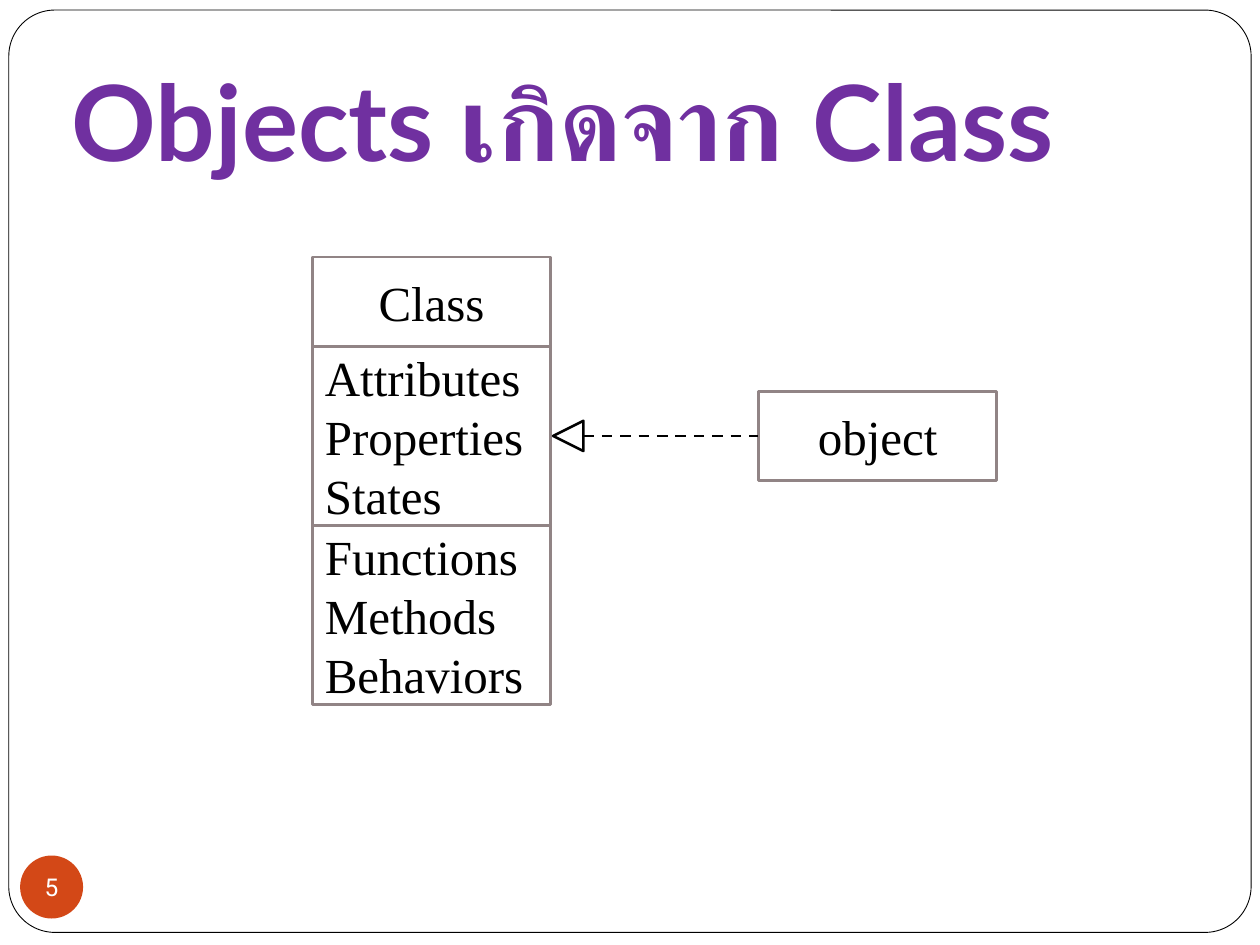
from lxml.etree import SubElement
from pptx import Presentation
from pptx.dml.color import RGBColor as Color
from pptx.enum.dml import MSO_LINE as Dash
from pptx.enum.shapes import MSO_CONNECTOR as Connector, MSO_SHAPE as Shape
from pptx.enum.text import MSO_ANCHOR as Anchor, MSO_AUTO_SIZE as AutoSize, PP_ALIGN as Align
from pptx.oxml.ns import qn
from pptx.util import Inches, Pt

COLORS = {
    "paper": "FFFFFF",
    "ink": "000000",
    "title": "7030A0",
    "badge": "D34817",
    "border": "918485",
}


def write(frame, text, font="Times New Roman", size=28, color="ink", bold=False,
          align=Align.LEFT, anchor=Anchor.MIDDLE, margins=(0.1, 0.05, 0.1, 0.05), wrap=True):
    frame.auto_size = AutoSize.NONE
    frame.word_wrap = wrap
    frame.vertical_anchor = anchor
    (frame.margin_left, frame.margin_top,
     frame.margin_right, frame.margin_bottom) = map(Inches, margins)
    for index, line in enumerate(text.split("\n")):
        para = frame.add_paragraph() if index else frame.paragraphs[0]
        para.alignment = align
        span = para.add_run()
        span.text = line
        span.font.name = font
        span.font.size = Pt(size)
        span.font.bold = bold
        span.font.color.rgb = Color.from_string(COLORS[color])


class Diagram:
    def __init__(self, page):
        self.page = page

    def title(self, text, left, top, width, height, **style):
        box = self.page.shapes.title
        box.left, box.top, box.width, box.height = map(Inches, (left, top, width, height))
        write(box.text_frame, text, **style)
        return box

    def shape(self, kind, left, top, width, height, fill="paper", line="border", weight=1.5):
        box = self.page.shapes.add_shape(kind, *map(Inches, (left, top, width, height)))
        box.shadow.inherit = False
        box.fill.solid()
        box.fill.fore_color.rgb = Color.from_string(COLORS[fill])
        if line:
            box.line.color.rgb = Color.from_string(COLORS[line])
            box.line.width = Pt(weight)
        else:
            box.line.fill.background()
        return box

    def box(self, text, left, top, width, height, **style):
        box = self.shape(Shape.RECTANGLE, left, top, width, height)
        write(box.text_frame, text, **style)

    def badge(self, text, left, top, size):
        box = self.shape(Shape.OVAL, left, top, size, size, fill="badge", line=None)
        write(box.text_frame, text, font="Roboto", size=14, color="paper",
              align=Align.CENTER, margins=(0, 0, 0, 0), wrap=False)

    def dashed_line(self, x1, y1, x2, y2):
        link = self.page.shapes.add_connector(
            Connector.STRAIGHT, *map(Inches, (x1, y1, x2, y2)))
        link.line.color.rgb = Color.from_string(COLORS["ink"])
        link.line.width = Pt(1.5)
        link.line.dash_style = Dash.DASH
        SubElement(link.element.spPr, qn("a:effectLst"))


def main():
    deck = Presentation()
    deck.slide_width, deck.slide_height = Inches(10), Inches(7.5)
    diagram = Diagram(deck.slides.add_slide(deck.slide_layouts[5]))

    title = diagram.title("Objects เกิดจาก Class", 0.47, 0.3, 9.03, 1.25, font="Lato", size=60,
                          color="title", bold=True, anchor=Anchor.BOTTOM,
                          margins=(0.1, 0.05, 0.1, 0.1))
    border = diagram.shape(Shape.ROUNDED_RECTANGLE, 0.07, 0.08, 9.86, 7.32,
                           line="ink", weight=0.5)
    border.adjustments[0] = 0.05
    title.element.addprevious(border.element)
    diagram.badge("5", 0.16, 6.79, 0.5)

    left, top, width, row = 2.48, 2.04, 1.89, 0.71
    diagram.box("Class", left, top, width, row, align=Align.CENTER)
    diagram.box("Attributes\nProperties\nStates", left, top + row, width, 2 * row)
    diagram.box("Functions\nMethods\nBehaviors", left, top + 3 * row, width, 2 * row)

    middle, object_left, head = top + 2 * row, 6.02, 0.24
    diagram.box("object", object_left, middle - row / 2, width, row, align=Align.CENTER)
    head_left = left + width + 0.02
    arrow = diagram.shape(Shape.ISOSCELES_TRIANGLE, head_left, middle - head / 2,
                          head, head, line="ink")
    arrow.rotation = 270
    diagram.dashed_line(head_left + head, middle, object_left, middle)

    deck.save("out.pptx")


if __name__ == "__main__":
    main()
